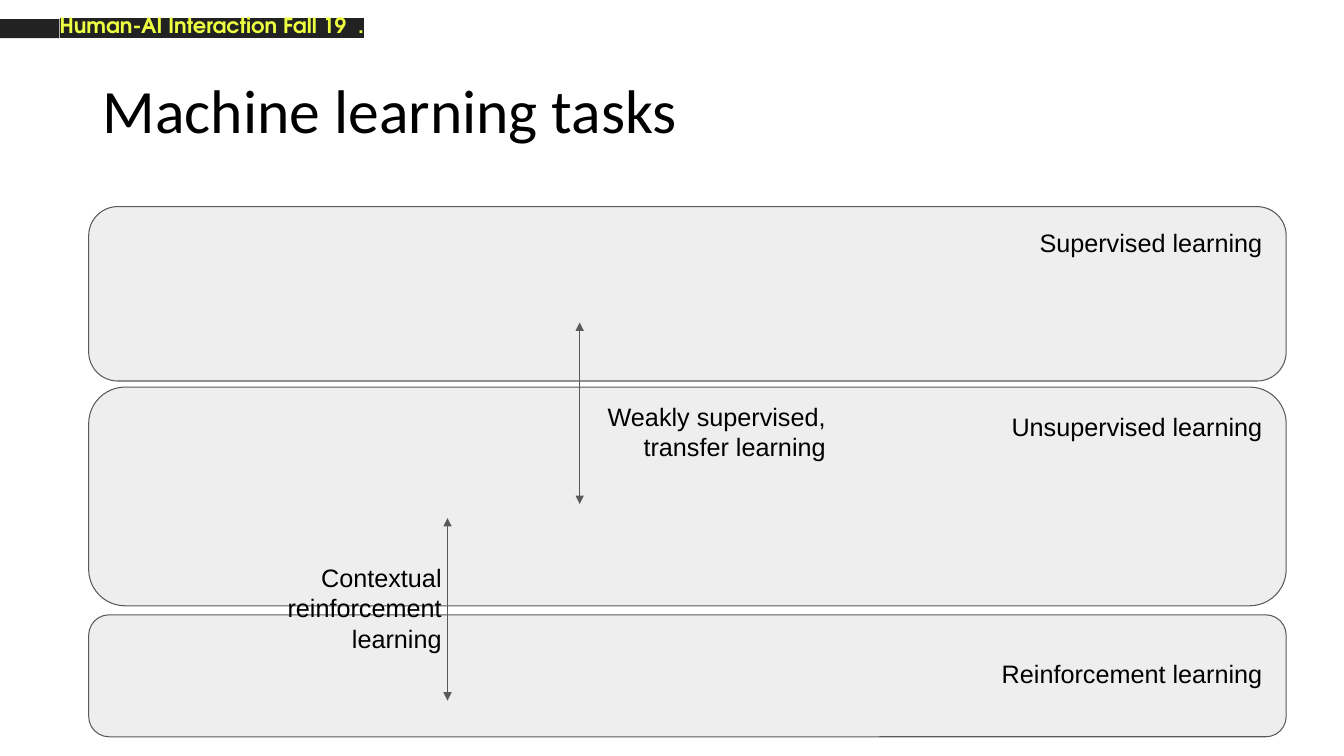
from dataclasses import dataclass

from lxml.etree import SubElement
from pptx import Presentation
from pptx.dml.color import RGBColor
from pptx.enum.shapes import MSO_CONNECTOR, MSO_SHAPE
from pptx.enum.text import MSO_ANCHOR, MSO_AUTO_SIZE, PP_ALIGN
from pptx.oxml.ns import qn
from pptx.util import Emu, Inches, Pt

WIDTH, HEIGHT = Inches(13.33), Inches(7.5)


@dataclass(frozen=True)
class Theme:
    ink: str = "000000"
    band: str = "EEEEEE"
    line: str = "595959"
    strip: str = "222222"
    header: str = "EEFF41"
    title_size: float = 44
    label_size: float = 18
    header_size: float = 15
    line_width: float = 0.75
    title_font: str = "Calibri"
    label_font: str = "Arial"
    header_font: str = "TeX Gyre Adventor"


THEME = Theme()


@dataclass(frozen=True)
class Area:
    """A rectangle on a grid of 100 columns by 100 rows."""
    col: float
    row: float
    cols: float
    rows: float

    def place(self) -> tuple[Emu, Emu, Emu, Emu]:
        return across(self.col), down(self.row), across(self.cols), down(self.rows)


@dataclass(frozen=True)
class Band:
    label: str
    row: float
    rows: float
    label_row: float
    label_rows: float


@dataclass(frozen=True)
class Bridge:
    """A double arrow between two bands, with its label."""
    col: float
    top: float
    bottom: float
    lines: tuple[str, ...]
    label: Area


BAND_COL, BAND_COLS = 6.6, 89.1
LABEL_COL, LABEL_COLS = 73.28, 21.38
HEADER_COL = 4.43

BANDS = (
    Band("Reinforcement learning", 81.33, 16.13, 85.73, 4.27),
    Band("Supervised learning", 27.33, 23.07, 28.8, 6.13),
    Band("Unsupervised learning", 51.2, 28.93, 53.07, 7.6),
)
BRIDGES = (
    Bridge(43.13, 42.67, 66.67, ("Weakly supervised,", "transfer learning"),
           Area(43.13, 51.73, 19.05, 6.13)),
    Bridge(33.3, 68.53, 92.67, ("Contextual reinforcement learning",),
           Area(14.55, 73.07, 19.05, 6.13)),
)


def across(cols: float) -> Emu:
    return Emu(round(WIDTH * cols / 100))


def down(rows: float) -> Emu:
    return Emu(round(HEIGHT * rows / 100))


def write(frame, *lines: str, font: str = THEME.label_font,
          size: float = THEME.label_size, color: str = THEME.ink,
          align: PP_ALIGN = PP_ALIGN.RIGHT, bold: bool = False,
          spacing: float = 1.0, highlight: str | None = None) -> None:
    """Fill a text frame, one paragraph for each line."""
    frame.word_wrap = True
    for index, line in enumerate(lines):
        para = frame.add_paragraph() if index else frame.paragraphs[0]
        para.alignment = align
        para.line_spacing = spacing
        span = para.add_run()
        span.text = line
        span.font.name, span.font.size, span.font.bold = font, Pt(size), bold
        span.font.color.rgb = RGBColor.from_string(color)
        if highlight:
            props = span.font._element
            mark = SubElement(props, qn("a:highlight"))
            SubElement(mark, qn("a:srgbClr"), val=highlight)
            props.find(qn("a:latin")).addprevious(mark)


def set_margins(frame, side: float, top: float) -> None:
    frame.margin_left = frame.margin_right = Inches(side)
    frame.margin_top = frame.margin_bottom = Inches(top)


def add_label(shapes, area: Area, *lines: str) -> None:
    frame = shapes.add_textbox(*area.place()).text_frame
    set_margins(frame, 0.1, 0.1)
    write(frame, *lines)


def add_panel(shapes, kind: MSO_SHAPE, area: Area, fill: str,
              line: str | None = None) -> None:
    panel = shapes.add_shape(kind, *area.place())
    panel.shadow.inherit = False
    panel.fill.solid()
    panel.fill.fore_color.rgb = RGBColor.from_string(fill)
    if line:
        panel.line.color.rgb = RGBColor.from_string(line)
        panel.line.width = Pt(THEME.line_width)
    else:
        panel.line.fill.background()


def add_header(page) -> None:
    add_panel(page.shapes, MSO_SHAPE.RECTANGLE,
              Area(0, 2.53, HEADER_COL, 2.53), THEME.strip)
    box = page.shapes.add_textbox(*Area(0, 0, 82.07, 14.8).place())
    set_margins(box.text_frame, 0.13, 0.13)
    box.text_frame.margin_left = across(HEADER_COL)
    write(box.text_frame, "Human-AI Interaction Fall 19  .",
          font=THEME.header_font, size=THEME.header_size, color=THEME.header,
          align=PP_ALIGN.LEFT, bold=True, highlight=THEME.strip)


def add_title(page) -> None:
    title = page.shapes.title
    title.left, title.top, title.width, title.height = Area(
        6.9, 5.33, 86.27, 19.33).place()
    frame = title.text_frame
    set_margins(frame, 0.1, 0.05)
    frame.vertical_anchor = MSO_ANCHOR.MIDDLE
    frame.auto_size = MSO_AUTO_SIZE.NONE
    write(frame, "Machine learning tasks", font=THEME.title_font,
          size=THEME.title_size, align=PP_ALIGN.LEFT, spacing=0.9)


def add_band(page, band: Band) -> None:
    shapes = page.shapes.add_group_shape().shapes
    add_panel(shapes, MSO_SHAPE.ROUNDED_RECTANGLE,
              Area(BAND_COL, band.row, BAND_COLS, band.rows),
              THEME.band, THEME.line)
    add_label(shapes, Area(LABEL_COL, band.label_row, LABEL_COLS, band.label_rows),
              band.label)


def add_bridge(page, bridge: Bridge) -> None:
    x = across(bridge.col)
    arrow = page.shapes.add_connector(
        MSO_CONNECTOR.STRAIGHT, x, down(bridge.top), x, down(bridge.bottom))
    arrow.line.color.rgb = RGBColor.from_string(THEME.line)
    arrow.line.width = Pt(THEME.line_width)
    outline = arrow.line._get_or_add_ln()
    for end in ("a:headEnd", "a:tailEnd"):
        SubElement(outline, qn(end), type="triangle")
    SubElement(arrow._element.spPr, qn("a:effectLst"))
    add_label(page.shapes, bridge.label, *bridge.lines)


def main() -> None:
    deck = Presentation()
    deck.slide_width, deck.slide_height = WIDTH, HEIGHT
    page = deck.slides.add_slide(deck.slide_layouts.get_by_name("Title Only"))

    # Course header and title
    add_header(page)
    add_title(page)

    # Kinds of learning
    for band in BANDS:
        add_band(page, band)

    # Tasks that lie between two kinds
    for bridge in BRIDGES:
        add_bridge(page, bridge)

    deck.save("out.pptx")


if __name__ == "__main__":
    main()
